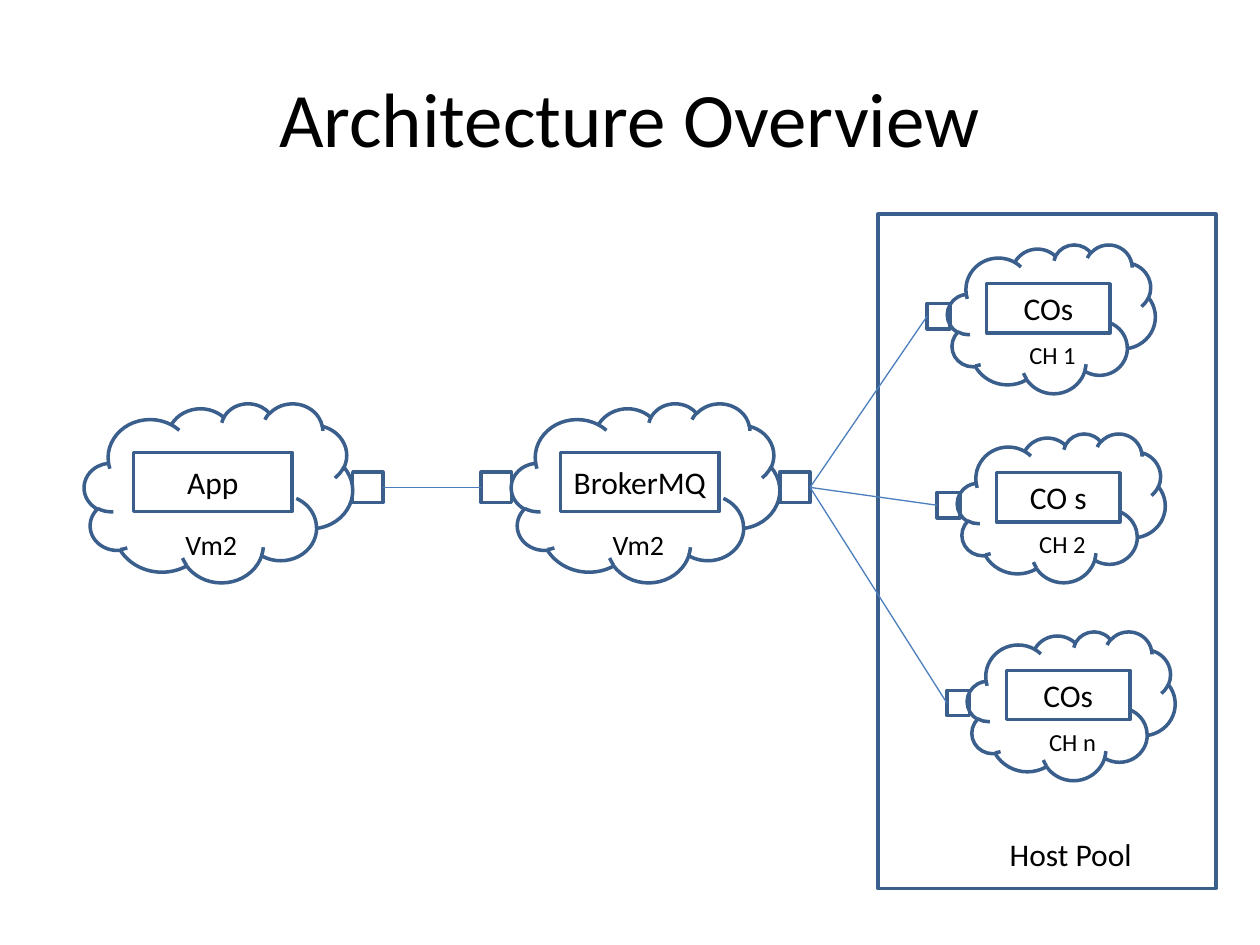
import dataclasses
import pptx
import pptx.util
import pptx.dml.color
import pptx.enum.shapes
import pptx.enum.text
import pptx.oxml.ns
import lxml.etree

Cm = pptx.util.Cm
Pt = pptx.util.Pt
Kind = pptx.enum.shapes.MSO_SHAPE
Align = pptx.enum.text.PP_ALIGN
Anchor = pptx.enum.text.MSO_ANCHOR
LEFT, RIGHT = 1, 3  # connection sites of a rectangle


@dataclasses.dataclass(frozen=True)
class Theme:
    """Colours, font, type sizes and line widths."""
    font: str = "Calibri"
    ink: str = "000000"
    edge: str = "3A5F8C"
    link: str = "4B7EBC"
    title: int = 44
    body: int = 18
    note: int = 16
    small: int = 14
    thick: float = 2
    thin: float = 0.75


class Board:
    """Draws styled elements on one slide."""

    def __init__(self, slide, theme):
        """Keep the slide and its style."""
        self.slide, self.theme = slide, theme

    def fill_in(self, frame, text, size, align):
        """Put one run of text into a frame."""
        frame.word_wrap = True
        para = frame.paragraphs[0]
        para.alignment = align
        run = para.add_run()
        run.text = text
        run.font.size = Pt(size)
        run.font.name = self.theme.font
        run.font.color.rgb = pptx.dml.color.RGBColor.from_string(self.theme.ink)

    def stroke(self, line, color, width):
        """Set the colour and width of a line."""
        line.color.rgb = pptx.dml.color.RGBColor.from_string(color)
        line.width = Pt(width)

    def text(self, area, text, size, align=Align.LEFT, anchor=Anchor.TOP):
        """Add a text box."""
        frame = self.slide.shapes.add_textbox(*map(Cm, area)).text_frame
        frame.vertical_anchor = anchor
        self.fill_in(frame, text, size, align)

    def shape(self, kind, area, text=None):
        """Add an outlined shape, with centred text if given."""
        shape = self.slide.shapes.add_shape(kind, *map(Cm, area))
        shape.shadow.inherit = False
        shape.fill.background()
        self.stroke(shape.line, self.theme.edge, self.theme.thick)
        if text:
            shape.text_frame.vertical_anchor = Anchor.MIDDLE
            self.fill_in(shape.text_frame, text, self.theme.body, Align.CENTER)
        return shape

    def link(self, start, end):
        """Join the right side of one port to the left side of another."""
        line = self.slide.shapes.add_connector(
            pptx.enum.shapes.MSO_CONNECTOR.STRAIGHT, 0, 0, 0, 0)
        line.begin_connect(start, RIGHT)
        line.end_connect(end, LEFT)
        self.stroke(line.line, self.theme.link, self.theme.thin)
        lxml.etree.SubElement(line._element.spPr, pptx.oxml.ns.qn("a:effectLst"))

    def server(self, left, top, name):
        """Add a large cloud with its box and label."""
        self.shape(Kind.CLOUD, (left, top, 5.41, 3.61))
        self.shape(Kind.RECTANGLE, (left + 0.99, top + 0.99, 3.2, 1.19), name)
        self.text((left + 1.79, top + 2.39, 1.6, 0.94), "Vm2", self.theme.note)

    def port(self, left, top, wide=0.61, high=0.61):
        """Add a small square port."""
        return self.shape(Kind.RECTANGLE, (left, top, wide, high))

    def host(self, left, top, name, label):
        """Add a small cloud with box and label; return its port."""
        self.shape(Kind.CLOUD, (left, top, 4.19, 3))
        self.shape(Kind.RECTANGLE, (left + 0.79, top + 0.79, 2.49, 0.99), name)
        self.text((left + 1.4, top + 1.8, 1.8, 0.86), label, self.theme.small)
        return self.port(left - 0.41, top + 1.19, 0.46, 0.51)


def main():
    """Build the slide and save it."""
    deck = pptx.Presentation()
    deck.slide_width, deck.slide_height = Cm(25.4), Cm(19.05)
    theme = Theme()
    board = Board(deck.slides.add_slide(deck.slide_layouts[6]), theme)

    board.text((1.27, 0.76, 22.86, 3.18), "Architecture Overview",
               theme.title, Align.CENTER, Anchor.MIDDLE)
    board.shape(Kind.RECTANGLE, (17.7, 4.32, 6.81, 13.59))
    board.text((18.69, 16.71, 5.79, 1.02), "Host Pool", theme.body, Align.CENTER)

    app, queue, row = 1.7, 10.31, 8.13
    board.server(app, row, "App")
    board.server(queue, row, "BrokerMQ")
    source, inlet, outlet = [
        board.port(left, row + 1.39)
        for left in (app + 5.41, queue - 0.61, queue + 5.41)]
    board.link(source, inlet)

    hosts = [(4.93, "COs", "CH 1"), (8.74, "CO s", "CH 2"), (12.73, "COs", "CH n")]
    for step, (top, name, label) in enumerate(hosts):
        board.link(outlet, board.host(19.1 + 0.2 * step, top, name, label))

    deck.save("out.pptx")


main()
